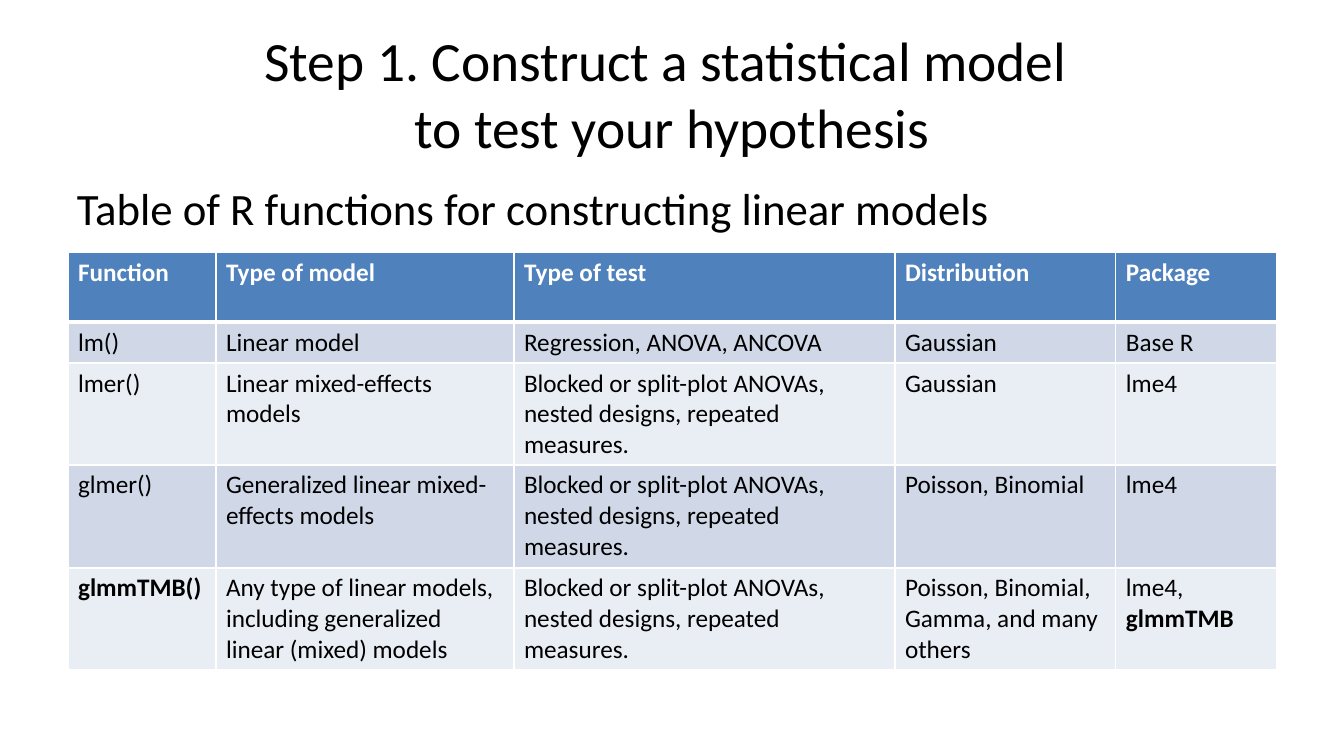
import pptx
import pptx.util
import pptx.dml.color
import pptx.enum.text
import pptx.oxml.ns
import lxml.etree

COLORS = {
    "ink": "000000",
    "white": "FFFFFF",
    "header": "4F81BD",
    "odd_row": "D0D8E8",
    "even_row": "E9EDF4",
}
FONT = "Calibri"
TITLE = ["Step 1. Construct a statistical model ", "to test your hypothesis"]
SUBTITLE = "Table of R functions for constructing linear models"
HEADINGS = ["Function", "Type of model", "Type of test", "Distribution", "Package"]
BLOCKED = "Blocked or split-plot ANOVAs, nested designs, repeated measures."
FUNCTIONS = [
    ["lm()", "Linear model", "Regression, ANOVA, ANCOVA", "Gaussian", "Base R"],
    ["lmer()", "Linear mixed-effects models", BLOCKED, "Gaussian", "lme4"],
    ["glmer()", "Generalized linear mixed-effects models", BLOCKED, "Poisson, Binomial", "lme4"],
    ["glmmTMB()", "Any type of linear models, including generalized linear (mixed) models",
     BLOCKED, "Poisson, Binomial, Gamma, and many others", ["lme4, ", "glmmTMB"]],
]
BOLD_NAMES = {"glmmTMB()", "glmmTMB"}

SLIDE_SIZE = (1344, 756)
TITLE_BOX = (67, 30, 1210, 126)
SUBTITLE_BOX = (67, 176, 1210, 70)
TABLE_ORIGIN = (68, 252)
COLUMN_WIDTHS = [148, 298, 381, 221, 161]
ROW_HEIGHTS = [70, 41, 102, 103, 102]


def px(length):
    return pptx.util.Emu(round(length * 914400 / 100.8))


def rgb(name):
    return pptx.dml.color.RGBColor.from_string(COLORS[name])


def add_run(paragraph, text, size, color="ink", bold=False):
    run = paragraph.add_run()
    run.text = text
    run.font.name = FONT
    run.font.size = pptx.util.Pt(size)
    run.font.bold = bold
    run.font.color.rgb = rgb(color)


def add_text_frame(slide, box):
    frame = slide.shapes.add_textbox(*map(px, box)).text_frame
    frame.word_wrap = True
    return frame


def add_borders(cell, widths):
    properties = cell._tc.get_or_add_tcPr()
    for position, (side, width) in enumerate(widths.items()):
        line = lxml.etree.Element(pptx.oxml.ns.qn(f"a:ln{side}"), w=str(pptx.util.Pt(width)))
        fill = lxml.etree.SubElement(line, pptx.oxml.ns.qn("a:solidFill"))
        lxml.etree.SubElement(fill, pptx.oxml.ns.qn("a:srgbClr"), val=COLORS["white"])
        properties.insert(position, line)


def add_title(slide):
    frame = add_text_frame(slide, TITLE_BOX)
    frame.vertical_anchor = pptx.enum.text.MSO_ANCHOR.MIDDLE
    heading = frame.paragraphs[0]
    heading.alignment = pptx.enum.text.PP_ALIGN.CENTER
    add_run(heading, TITLE[0], 39.6)
    heading.add_line_break()
    add_run(heading, TITLE[1], 39.6)


def add_function_table(slide):
    rows = [HEADINGS] + FUNCTIONS
    size = (sum(COLUMN_WIDTHS), sum(ROW_HEIGHTS))
    table = slide.shapes.add_table(
        len(rows), len(HEADINGS), *map(px, TABLE_ORIGIN + size)).table
    for column, width in zip(table.columns, COLUMN_WIDTHS):
        column.width = px(width)
    for r, (row, height) in enumerate(zip(rows, ROW_HEIGHTS)):
        table.rows[r].height = px(height)
        is_header = r == 0
        fill = "header" if is_header else "odd_row" if r % 2 else "even_row"
        for c, content in enumerate(row):
            cell = table.cell(r, c)
            cell.fill.solid()
            cell.fill.fore_color.rgb = rgb(fill)
            add_borders(cell, {"L": 1, "R": 1, "T": 3 if r == 1 else 1, "B": 3 if is_header else 1})
            pieces = [content] if isinstance(content, str) else content
            for piece in pieces:
                add_run(cell.text_frame.paragraphs[0], piece, 18,
                        "white" if is_header else "ink", is_header or piece in BOLD_NAMES)


def main():
    deck = pptx.Presentation()
    deck.slide_width, deck.slide_height = map(px, SLIDE_SIZE)
    slide = deck.slides.add_slide(deck.slide_layouts[6])
    add_title(slide)
    add_run(add_text_frame(slide, SUBTITLE_BOX).paragraphs[0], SUBTITLE, 32)
    add_function_table(slide)
    deck.save("out.pptx")


if __name__ == "__main__":
    main()
